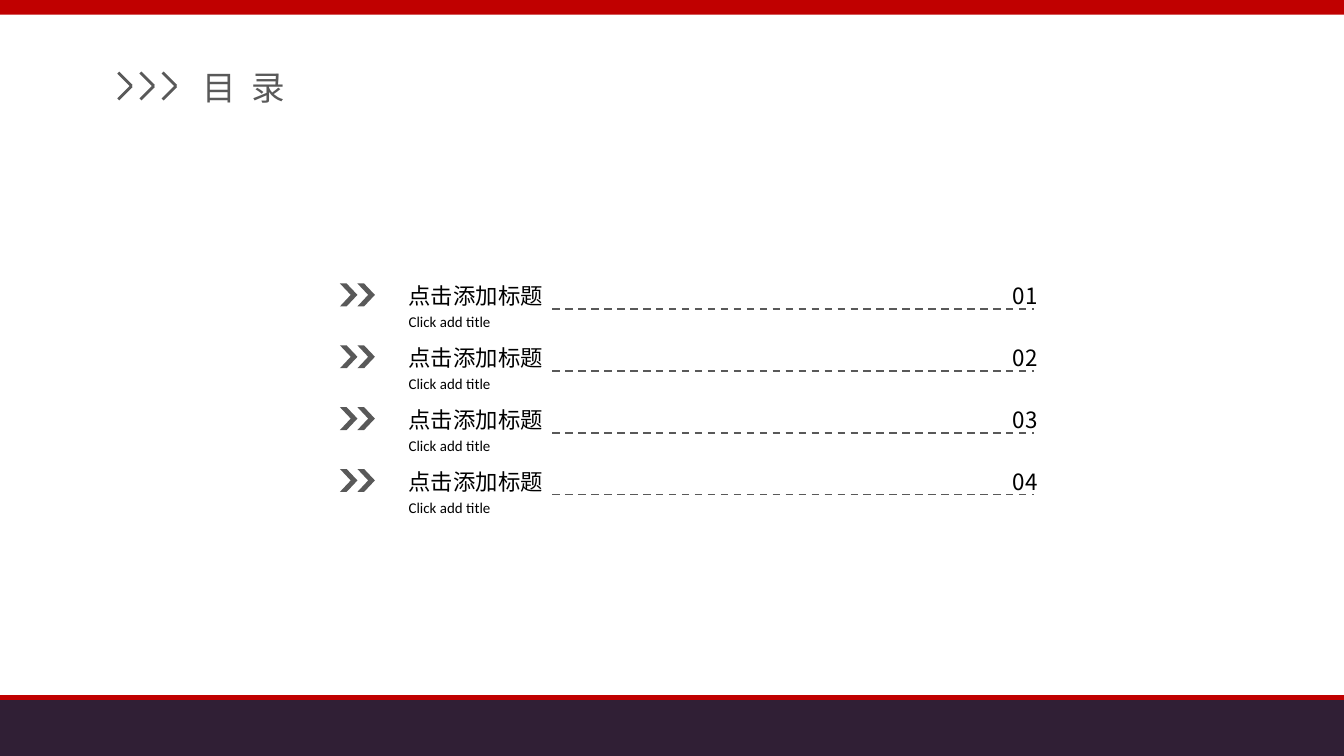
from dataclasses import dataclass

from lxml import etree
from pptx import Presentation
from pptx.dml.color import RGBColor
from pptx.enum.dml import MSO_LINE
from pptx.enum.shapes import MSO_CONNECTOR, MSO_SHAPE
from pptx.enum.text import MSO_ANCHOR, MSO_AUTO_SIZE, PP_ALIGN
from pptx.oxml.ns import qn
from pptx.util import Inches, Pt

DASH = MSO_LINE.DASH
LINE = MSO_CONNECTOR.STRAIGHT
RECT = MSO_SHAPE.RECTANGLE
LEFT, TOP = PP_ALIGN.LEFT, MSO_ANCHOR.TOP
FIT = MSO_AUTO_SIZE.SHAPE_TO_FIT_TEXT

# Wide 16:9 slide
WIDTH = 10
HEIGHT = WIDTH * 9 / 16

# Contents grid: first row, row pitch and column edges
ROW_TOP, PITCH = 2.1, 0.46
MARK_X, TEXT_X, RULE_X, RULE_END, NUM_X = 2.53, 3.04, 4.11, 7.69, 7.53
ITEMS = [("点击添加标题", "Click add title")] * 4


@dataclass(frozen=True)
class Theme:
    red: str = "C00000"
    plum: str = "301F35"
    gray: str = "595959"
    ink: str = "000000"
    han: str = "Noto Sans CJK SC"
    latin: str = "Calibri"
    head: int = 18
    item: int = 12
    note: int = 8


THEME = Theme()


def paint(shape, color):
    shape.shadow.inherit = False
    shape.fill.solid()
    shape.fill.fore_color.rgb = RGBColor.from_string(color)
    shape.line.fill.background()


def add_bar(shapes, top, height, color):
    bar = shapes.add_shape(RECT, 0, Inches(top), Inches(WIDTH), Inches(height))
    paint(bar, color)


def add_line(shapes, start, end, color, weight, dash=None):
    ends = [Inches(v) for v in (*start, *end)]
    line = shapes.add_connector(LINE, *ends)
    line.line.color.rgb = RGBColor.from_string(color)
    line.line.width = Pt(weight)
    if dash is not None:
        line.line.dash_style = dash
    etree.SubElement(line._element.spPr, qn("a:effectLst"))


def add_run(para, text, size, font, color):
    run = para.add_run()
    run.text = text
    run.font.size = Pt(size)
    run.font.name = font
    run.font.color.rgb = RGBColor.from_string(color)
    east = etree.SubElement(run.font._element, qn("a:ea"))
    east.set("typeface", font)
    return run


def add_text(shapes, box, text, size, font, wrap=False):
    frame = shapes.add_textbox(*[Inches(v) for v in box]).text_frame
    frame.margin_left = frame.margin_right = 0
    frame.margin_top = frame.margin_bottom = 0
    frame.word_wrap = wrap
    frame.auto_size = FIT
    add_run(frame.paragraphs[0], text, size, font, THEME.ink)


def add_mark(shapes, x, y):
    """Solid chevron pointing right."""
    wide, high, thick = 0.13, 0.17, 0.05
    mid = high / 2
    points = [(thick, 0), (wide, mid), (thick, high), (0, high),
              (wide - thick, mid), (0, 0)]
    spots = [(Inches(x + dx), Inches(y + dy)) for dx, dy in points]
    path = shapes.build_freeform(*spots[0], scale=1.0)
    path.add_line_segments(spots[1:], close=True)
    paint(path.convert_to_shape(), THEME.gray)


def add_arrows(shapes):
    """Three open chevrons ahead of the title."""
    group = shapes.add_group_shape().shapes
    top, half, wide = 0.54, 0.1, 0.1
    for i in range(3):
        x = 0.88 + 0.33 * i / 2
        tip = (x + wide, top + half)
        add_line(group, (x, top), tip, THEME.gray, 1.5)
        add_line(group, tip, (x, top + 2 * half), THEME.gray, 1.5)


def add_title(slide):
    title = slide.shapes.title
    title.left, title.top = Inches(1.41), Inches(0.45)
    title.width, title.height = Inches(0.86), Inches(0.4)
    frame = title.text_frame
    frame.word_wrap = False
    frame.auto_size = FIT
    frame.vertical_anchor = TOP
    para = frame.paragraphs[0]
    para.alignment = LEFT
    run = add_run(para, "目 录", THEME.head, THEME.han, THEME.gray)
    run.font._element.set("spc", "200")  # letter spacing


def add_item(shapes, index, name, note):
    group = shapes.add_group_shape().shapes
    y = ROW_TOP + index * PITCH
    for i in range(2):
        add_mark(group, MARK_X + 0.13 * i, y + 0.01)
    add_text(group, (TEXT_X, y, 2.25, 0.21), name,
             THEME.item, THEME.han, wrap=True)
    for i, digit in enumerate(f"{index + 1:02d}"):
        add_text(group, (NUM_X + 0.1 * i, y, 0.09, 0.2), digit,
                 THEME.item, THEME.han)
    add_text(group, (TEXT_X, y + 0.23, 0.62, 0.13), note,
             THEME.note, THEME.latin)
    rule = y + 0.2
    add_line(group, (RULE_X, rule), (RULE_END, rule), THEME.gray, 1, DASH)


def main():
    deck = Presentation()
    deck.slide_width, deck.slide_height = Inches(WIDTH), Inches(HEIGHT)
    slide = deck.slides.add_slide(deck.slide_layouts[5])
    shapes = slide.shapes

    # Frame bands
    add_bar(shapes, 0, 0.11, THEME.red)
    add_bar(shapes, 5.2, HEIGHT - 5.2, THEME.plum)
    add_line(shapes, (0, 5.19), (WIDTH, 5.19), THEME.red, 2.25)

    # Heading
    add_arrows(shapes)
    add_title(slide)

    # Contents rows
    for index, (name, note) in enumerate(ITEMS):
        add_item(shapes, index, name, note)

    deck.save("out.pptx")


if __name__ == "__main__":
    main()
